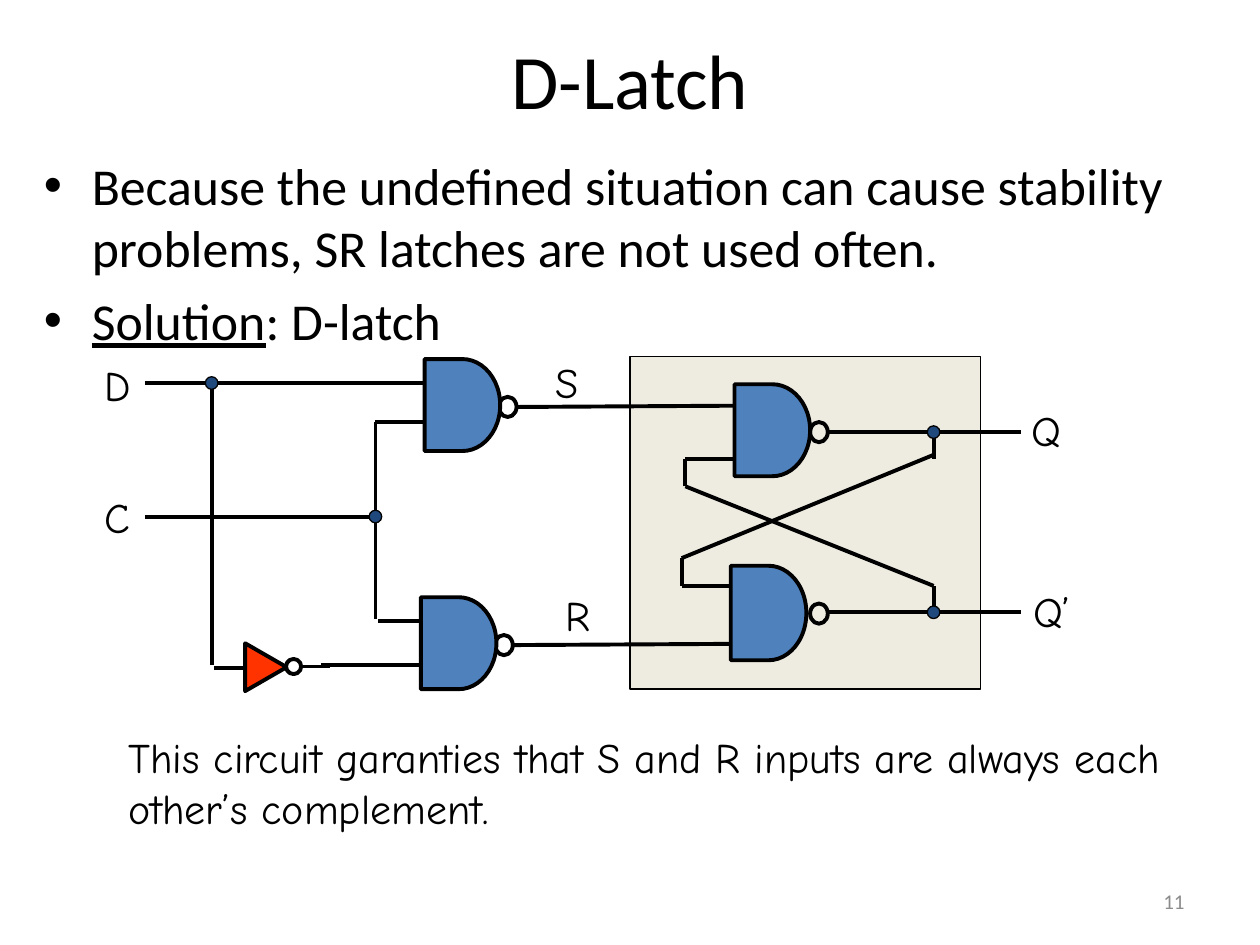
from lxml.etree import SubElement
from pptx import Presentation
from pptx.dml.color import RGBColor
from pptx.enum.shapes import MSO_CONNECTOR, MSO_SHAPE
from pptx.enum.text import MSO_ANCHOR, MSO_AUTO_SIZE, PP_ALIGN
from pptx.oxml.ns import qn
from pptx.util import Inches, Pt

BLACK, GRAY, WHITE = "000000", "8C8C8C", "FFFFFF"
GATE_BLUE, NODE_BLUE = "4F81BD", "1F497D"
INVERTER_RED, PANEL_BEIGE = "FF3300", "EEECE1"
BODY_FONT, LABEL_FONT = "Calibri", "Comic Neue"
WIRE_WIDTH, THIN_WIDTH = 2.25, 0.75
NODE_SIZE = 0.1
GATE_WIDTH = 0.6
BUBBLE_WIDTH, BUBBLE_HEIGHT = 0.14, 0.16


def color(hex_string):
    return RGBColor.from_string(hex_string)


def format_paragraph(paragraph, size, font=BODY_FONT, font_color=BLACK):
    for run in paragraph.runs:
        run.font.size = Pt(size)
        run.font.name = font
        run.font.color.rgb = color(font_color)


def add_text_box(slide, box):
    shape = slide.shapes.add_textbox(*(Inches(length) for length in box))
    shape.text_frame.word_wrap = True
    return shape.text_frame


def add_shape(slide, kind, box, fill=None, line_width=WIRE_WIDTH):
    shape = slide.shapes.add_shape(kind, *(Inches(length) for length in box))
    shape.shadow.inherit = False
    if fill:
        shape.fill.solid()
        shape.fill.fore_color.rgb = color(fill)
    else:
        shape.fill.background()
    shape.line.color.rgb = color(BLACK)
    shape.line.width = Pt(line_width)
    return shape


def add_wire(slide, left, top, start_x, start_y, end_x, end_y):
    wire = slide.shapes.add_connector(
        MSO_CONNECTOR.STRAIGHT,
        Inches(left + start_x), Inches(top + start_y),
        Inches(left + end_x), Inches(top + end_y))
    wire.line.color.rgb = color(BLACK)
    wire.line.width = Pt(WIRE_WIDTH)
    SubElement(wire._element.spPr, qn("a:effectLst"))


def add_node(slide, center_x, center_y):
    box = (center_x - NODE_SIZE / 2, center_y - NODE_SIZE / 2, NODE_SIZE, NODE_SIZE)
    add_shape(slide, MSO_SHAPE.OVAL, box, NODE_BLUE, THIN_WIDTH)


def add_nand_gate(slide, left, top, height, bubble_x, bubble_y):
    """Gate body with its output bubble, both measured from the gate corner."""
    add_shape(slide, MSO_SHAPE.OVAL,
              (left + bubble_x, top + bubble_y, BUBBLE_WIDTH, BUBBLE_HEIGHT))
    add_shape(slide, MSO_SHAPE.FLOWCHART_DELAY,
              (left, top, GATE_WIDTH, height), GATE_BLUE)


def add_label(slide, text, left, top, width):
    text_frame = add_text_box(slide, (left, top, width, 0.4))
    text_frame.word_wrap = False
    text_frame.auto_size = MSO_AUTO_SIZE.SHAPE_TO_FIT_TEXT
    text_frame.margin_left = text_frame.margin_right = 0
    text_frame.margin_top = text_frame.margin_bottom = 0
    text_frame.text = text
    format_paragraph(text_frame.paragraphs[0], 24, LABEL_FONT)


def add_title(slide, box):
    text_frame = add_text_box(slide, box)
    text_frame.vertical_anchor = MSO_ANCHOR.MIDDLE
    text_frame.text = "D-Latch"
    paragraph = text_frame.paragraphs[0]
    paragraph.alignment = PP_ALIGN.CENTER
    format_paragraph(paragraph, 44)


def add_bullets(slide, box):
    text_frame = add_text_box(slide, box)
    text_frame.text = ("Because the undefined situation can cause stability problems, "
                       "SR latches are not used often.")
    solution = text_frame.add_paragraph()
    for text in ("Solution", ": D-latch"):
        solution.add_run().text = text
    solution.runs[0].font.underline = True
    for paragraph in text_frame.paragraphs:
        paragraph.space_before = Pt(6)
        format_paragraph(paragraph, 29.6)
        properties = paragraph._p.get_or_add_pPr()
        properties.set("marL", str(Inches(0.38)))
        properties.set("indent", str(Inches(-0.38)))
        SubElement(properties, qn("a:buFont"), typeface="Arial")
        SubElement(properties, qn("a:buChar"), char="•")


def add_sr_latch(slide, box):
    left, top, width, height = box
    add_shape(slide, MSO_SHAPE.RECTANGLE, box, PANEL_BEIGE, THIN_WIDTH)
    wires = [
        # S and R inputs
        (-0.89, 0.4, 0.86, 0.39), (-0.92, 2.29, 0.83, 2.28),
        # Q and Q’ outputs
        (1.57, 0.6, 3.1, 0.6), (1.57, 2.03, 3.1, 2.03),
        # Feedback from Q’ to the upper gate
        (2.41, 2.03, 2.41, 1.82), (2.41, 1.82, 0.44, 1.03),
        (0.44, 1.03, 0.44, 0.81), (0.44, 0.81, 0.82, 0.81),
        # Feedback from Q to the lower gate
        (2.41, 0.6, 2.41, 0.81), (2.41, 0.78, 0.41, 1.6),
        (0.41, 1.6, 0.41, 1.82), (0.41, 1.82, 0.8, 1.82),
    ]
    for wire in wires:
        add_wire(slide, left, top, *wire)
    for output_y in (0.6, 2.03):
        add_node(slide, left + 2.41, top + output_y)
    add_nand_gate(slide, left + 0.83, top + 0.22, 0.73, 0.6, 0.3)
    add_nand_gate(slide, left + 0.8, top + 1.66, 0.75, 0.63, 0.3)
    for text, x, y, label_width in (("S", -0.59, 0, 0.23), ("R", -0.51, 1.85, 0.21),
                                    ("Q", 3.19, 0.38, 0.29), ("Q’", 3.2, 1.82, 0.35)):
        add_label(slide, text, left + x, top + y, label_width)


def add_input_stage(slide, box):
    left, top, width, height = box
    for x, y in ((2.54, 0.02), (2.51, 1.91)):
        add_nand_gate(slide, left + x, top + y, 0.73, 0.59, 0.3)
    wires = [
        # D to the upper gate and down to the inverter
        (0.32, 0.21, 2.54, 0.21), (0.85, 0.21, 0.85, 2.45),
        (0.87, 2.47, 1.12, 2.47),
        # Inverter to the lower gate
        (1.55, 2.46, 1.79, 2.46), (1.72, 2.45, 2.51, 2.45),
        # C to both gates
        (0.32, 1.27, 2.15, 1.27), (2.15, 0.52, 2.15, 2.08),
        (2.15, 0.52, 2.54, 0.52), (2.17, 2.1, 2.5, 2.1),
    ]
    for wire in wires:
        add_wire(slide, left, top, *wire)
    add_node(slide, left + 0.85, top + 0.21)
    add_node(slide, left + 2.15, top + 1.27)
    # Inverter
    triangle = add_shape(slide, MSO_SHAPE.FLOWCHART_EXTRACT,
                         (left + 1.09, top + 2.3, 0.38, 0.33), INVERTER_RED)
    triangle.rotation = 90
    add_shape(slide, MSO_SHAPE.OVAL, (left + 1.44, top + 2.4, 0.12, 0.12), WHITE)
    add_label(slide, "D", left, top + 0.02, 0.24)
    add_label(slide, "C", left, top + 1.07, 0.2)


def add_remark(slide, box):
    text_frame = add_text_box(slide, box)
    text_frame.text = ("This circuit garanties that S and R inputs are always "
                       "each other’s complement.")
    format_paragraph(text_frame.paragraphs[0], 24, LABEL_FONT)


def add_slide_number(slide, box):
    text_frame = add_text_box(slide, box)
    text_frame.vertical_anchor = MSO_ANCHOR.MIDDLE
    text_frame.text = "11"
    paragraph = text_frame.paragraphs[0]
    paragraph.alignment = PP_ALIGN.RIGHT
    format_paragraph(paragraph, 12, font_color=GRAY)


def main():
    presentation = Presentation()
    presentation.slide_width, presentation.slide_height = Inches(10), Inches(7.5)
    slide = presentation.slides.add_slide(presentation.slide_layouts[6])
    add_title(slide, (0.5, 0, 9, 1.25))
    add_bullets(slide, (0.25, 1.17, 9.58, 1.66))
    add_slide_number(slide, (7.17, 6.95, 2.33, 0.4))
    add_sr_latch(slide, (5, 2.83, 2.78, 2.64))
    add_remark(slide, (0.92, 5.76, 8.58, 0.91))
    add_input_stage(slide, (0.83, 2.83, 3.28, 2.64))
    presentation.save("out.pptx")


if __name__ == "__main__":
    main()
